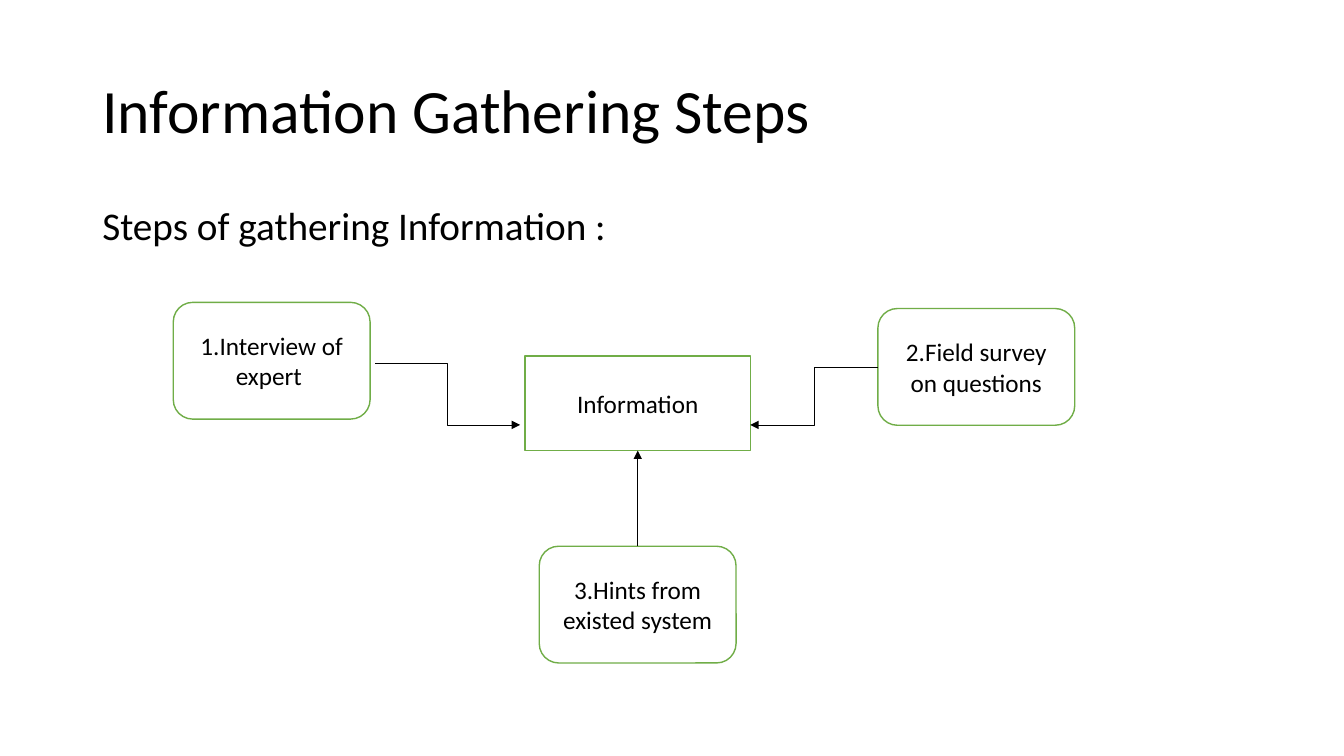
"""Build the slide of information gathering steps."""
import pptx
import pptx.dml.color
import pptx.enum.shapes
import pptx.enum.text
import pptx.oxml
import pptx.util

Pt = pptx.util.Pt
SHAPES = pptx.enum.shapes.MSO_SHAPE
CONNECTORS = pptx.enum.shapes.MSO_CONNECTOR
ALIGN = pptx.enum.text.PP_ALIGN
ANCHOR = pptx.enum.text.MSO_ANCHOR

BLACK = pptx.dml.color.RGBColor(0x00, 0x00, 0x00)
WHITE = pptx.dml.color.RGBColor(0xFF, 0xFF, 0xFF)
GREEN = pptx.dml.color.RGBColor(0x70, 0xAD, 0x47)
FONT = "Calibri"

TITLE = "Information Gathering Steps"
SUBTITLE = "Steps of gathering Information :"
HUB = "Information"
STEPS = [
    ("1.Interview of expert ", 123.8, 216),
    ("2.Field survey on questions", 627.1, 220.4),
    ("3.Hints from existed system", 385.2, 390.2),
]

MARGIN, CONTENT_WIDTH = 66, 828
HUB_LEFT, HUB_TOP, HUB_WIDTH, HUB_HEIGHT = 375.1, 254.2, 160.8, 67.7
STEP_WIDTH, STEP_HEIGHT = 140.6, 83.4
ARROW_GAP = 3.6
ENTRY_Y = 303.5


def write(shape, text, size=18, align=ALIGN.CENTER, anchor=ANCHOR.MIDDLE, spacing=1.0, before=0):
    frame = shape.text_frame
    frame.word_wrap = True
    frame.vertical_anchor = anchor
    paragraph = frame.paragraphs[0]
    paragraph.alignment = align
    paragraph.line_spacing = spacing
    paragraph.space_before = Pt(before)
    run = paragraph.add_run()
    run.text = text
    run.font.name = FONT
    run.font.size = Pt(size)
    run.font.color.rgb = BLACK


def add_heading(text, top, height, **style):
    heading = slide.shapes.add_textbox(Pt(MARGIN), Pt(top), Pt(CONTENT_WIDTH), Pt(height))
    write(heading, text, align=ALIGN.LEFT, spacing=0.9, **style)


def add_box(preset, text, left, top, width, height):
    box = slide.shapes.add_shape(preset, Pt(left), Pt(top), Pt(width), Pt(height))
    box.shadow.inherit = False
    box.fill.solid()
    box.fill.fore_color.rgb = WHITE
    box.line.color.rgb = GREEN
    box.line.width = Pt(1)
    write(box, text)


def add_arrow(kind, start, end):
    arrow = slide.shapes.add_connector(kind, *(Pt(value) for value in start + end))
    arrow.line.color.rgb = BLACK
    arrow.line.width = Pt(0.5)
    namespace = pptx.oxml.ns.nsdecls("a")
    head = pptx.oxml.parse_xml(f'<a:tailEnd {namespace} type="triangle"/>')
    arrow.line._get_or_add_ln().append(head)
    arrow._element.spPr.append(pptx.oxml.parse_xml(f"<a:effectLst {namespace}/>"))


presentation = pptx.Presentation()
presentation.slide_width = Pt(960)
presentation.slide_height = Pt(540)
slide = presentation.slides.add_slide(presentation.slide_layouts[6])

add_heading(TITLE, 28.8, 104.4, size=44)
add_heading(SUBTITLE, 144, 342.7, size=28, anchor=ANCHOR.TOP, before=10)

add_box(SHAPES.RECTANGLE, HUB, HUB_LEFT, HUB_TOP, HUB_WIDTH, HUB_HEIGHT)
for step, left, top in STEPS:
    add_box(SHAPES.ROUNDED_RECTANGLE, step, left, top, STEP_WIDTH, STEP_HEIGHT)

(_, interview_left, interview_top), (_, survey_left, survey_top), (_, hints_left, hints_top) = STEPS
step_middle = STEP_HEIGHT / 2
hints_center = hints_left + STEP_WIDTH / 2
add_arrow(
    CONNECTORS.ELBOW,
    (interview_left + STEP_WIDTH + ARROW_GAP, interview_top + step_middle + 1.5),
    (HUB_LEFT - ARROW_GAP, ENTRY_Y),
)
add_arrow(
    CONNECTORS.ELBOW,
    (survey_left, survey_top + step_middle),
    (HUB_LEFT + HUB_WIDTH, ENTRY_Y),
)
add_arrow(CONNECTORS.STRAIGHT, (hints_center, hints_top), (hints_center, HUB_TOP + HUB_HEIGHT))

presentation.save("out.pptx")
